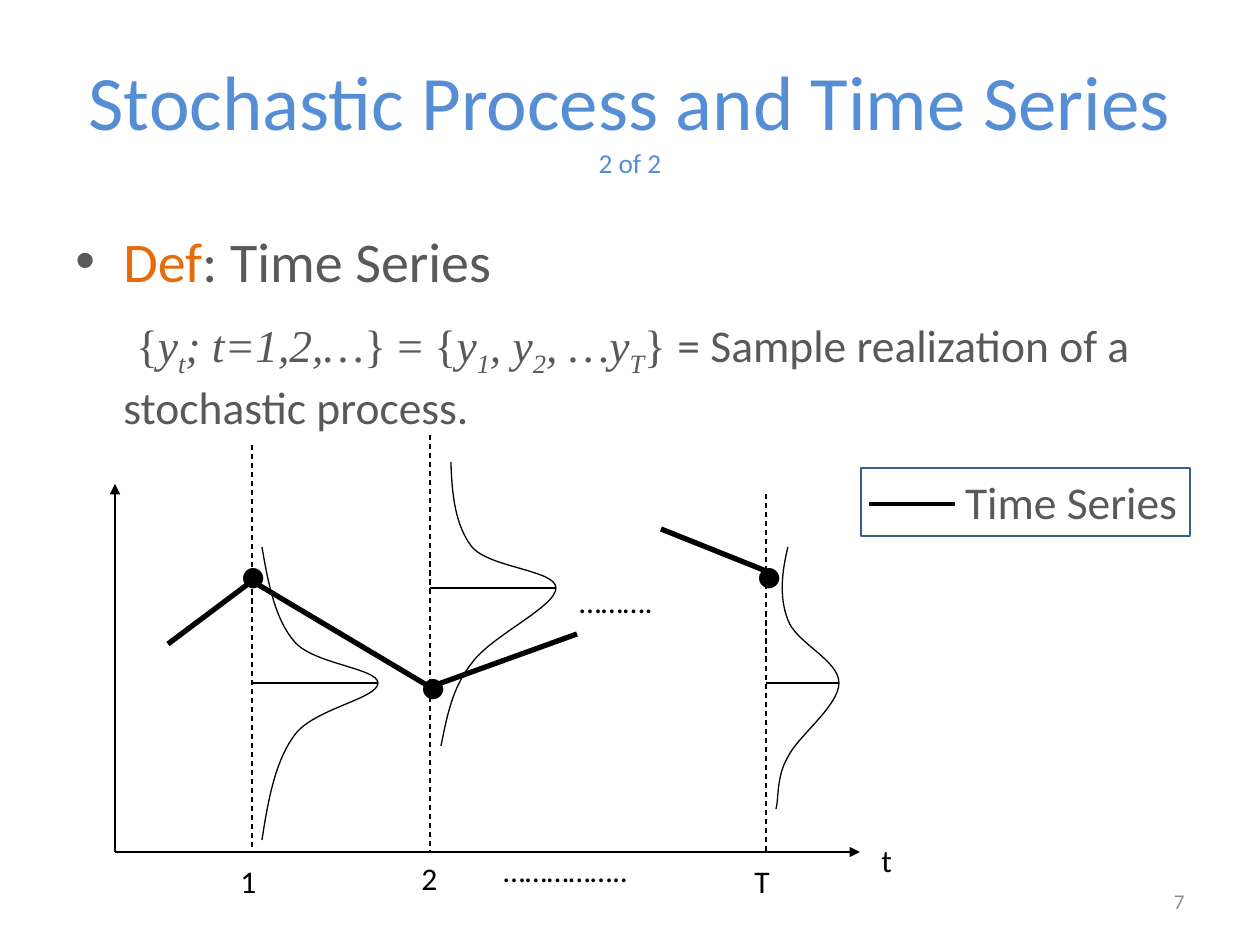
from itertools import chain, pairwise

from lxml.etree import SubElement
from pptx import Presentation
from pptx.dml.color import RGBColor
from pptx.enum.dml import MSO_LINE_DASH_STYLE as Dash
from pptx.enum.shapes import MSO_CONNECTOR as Connector, MSO_SHAPE as Shape
from pptx.enum.text import MSO_ANCHOR as Anchor, MSO_AUTO_SIZE as AutoSize, PP_ALIGN as Align
from pptx.oxml.ns import qn
from pptx.util import Pt

EMU_PER_PX = 914400 / 126
BLUE, ORANGE, GRAY, PALE, BLACK = "558ED5", "E46C0A", "595959", "8C8C8C", "000000"
BORDER = "376092"
SANS, SERIF = "Calibri", "Times New Roman"


def px(length):
    return round(length * EMU_PER_PX)


def color(value):
    return RGBColor.from_string(value)


def set_font(font, size, fill=BLACK, name=SANS):
    font.size, font.name = Pt(size), name
    font.color.rgb = color(fill)


def hang(paragraph, indent=48):
    """Give the paragraph a hanging indent and return its properties."""
    properties = paragraph._p.get_or_add_pPr()
    properties.set("marL", str(px(indent)))
    properties.set("indent", str(px(-indent)))
    return properties


class Canvas:
    def __init__(self, slide):
        self.slide = slide

    def frame(self, box, anchor=Anchor.TOP):
        """Add a wrapping text box and return its text frame."""
        frame = self.slide.shapes.add_textbox(*map(px, box)).text_frame
        frame.word_wrap = True
        frame.vertical_anchor = anchor
        return frame

    def run(self, paragraph, text, size, fill, name=SANS):
        run = paragraph.add_run()
        run.text = text
        set_font(run.font, size, fill, name)
        return run

    def label(self, text, box, size=18):
        frame = self.frame(box)
        frame.word_wrap = False
        frame.auto_size = AutoSize.SHAPE_TO_FIT_TEXT
        paragraph = frame.paragraphs[0]
        paragraph.text = text
        set_font(paragraph.font, size)

    def line(self, start, end, width=0.75, dashed=False, arrow=False):
        connector = self.slide.shapes.add_connector(
            Connector.STRAIGHT, *map(px, (*start, *end)))
        connector.line.color.rgb = color(BLACK)
        connector.line.width = Pt(width)
        if dashed:
            connector.line.dash_style = Dash.DASH
        if arrow:
            SubElement(connector.line._get_or_add_ln(), qn("a:tailEnd"), type="triangle")
        SubElement(connector._element.spPr, qn("a:effectLst"))

    def curve(self, start, segments):
        """Draw a chain of cubic segments, each two controls and an end."""
        builder = self.slide.shapes.build_freeform(*map(px, start))
        points = [(px(x), px(y)) for x, y in chain.from_iterable(segments)]
        builder.add_line_segments(points, close=False)
        shape = builder.convert_to_shape()
        outline = next(shape._element.iter(qn("a:path")))
        steps = outline.findall(qn("a:lnTo"))
        for first in range(0, len(steps), 3):
            cubic = SubElement(outline, qn("a:cubicBezTo"))
            for step in steps[first:first + 3]:
                cubic.append(step[0])
                outline.remove(step)
        shape.shadow.inherit = False
        shape.fill.background()
        shape.line.color.rgb = color(BLACK)
        shape.line.width = Pt(0.75)

    def legend(self, text, box):
        shape = self.slide.shapes.add_shape(Shape.RECTANGLE, *map(px, box))
        shape.shadow.inherit = False
        shape.fill.background()
        shape.line.color.rgb = color(BORDER)
        shape.line.width = Pt(1.5)
        shape.text_frame.vertical_anchor = Anchor.TOP
        paragraph = shape.text_frame.paragraphs[0]
        paragraph.text = text
        paragraph.alignment = Align.RIGHT
        set_font(paragraph.font, 26, GRAY)


def add_text(canvas):
    title = canvas.frame((63, 38, 1134, 157), Anchor.MIDDLE).paragraphs[0]
    title.alignment = Align.CENTER
    canvas.run(title, "Stochastic Process and Time Series ", 44, BLUE)
    canvas.run(title, "2 of 2", 15.6, BLUE)

    body = canvas.frame((63, 220, 1134, 624))
    heading = body.paragraphs[0]
    properties = hang(heading)
    bullet_color = SubElement(properties, qn("a:buClr"))
    SubElement(bullet_color, qn("a:srgbClr"), val=GRAY)
    SubElement(properties, qn("a:buFont"), typeface="Arial")
    SubElement(properties, qn("a:buChar"), char="•")
    canvas.run(heading, "Def", 32, ORANGE)
    canvas.run(heading, ": Time Series", 32, GRAY)

    formula = body.add_paragraph()
    hang(formula)
    formula.space_before = Pt(7.5)
    canvas.run(formula, "\t ", 32, GRAY)
    parts = (("{", ""), ("y", "i"), ("t", "sub"), ("; t=1,2,…", "i"), ("} = {", ""),
             ("y", "i"), ("1", "sub"), (", y", "i"), ("2", "sub"), (", …y", "i"),
             ("T", "sub"), ("} ", ""))
    for text, style in parts:
        font = canvas.run(formula, text, 26, GRAY, SERIF).font
        font.italic = bool(style)
        if style == "sub":
            font._element.set("baseline", "-25000")
    canvas.run(formula, "= Sample realization of a stochastic process.", 26, GRAY)

    number = canvas.frame((903, 876, 294, 50), Anchor.MIDDLE).paragraphs[0]
    number.text = "7"
    number.alignment = Align.RIGHT
    set_font(number.font, 12, PALE)


def add_diagram(canvas):
    origin = (115, 852)
    for end in ((860, 852), (115, 484)):
        canvas.line(origin, end, arrow=True)

    # x of the date, top of its dashed line, mean level, peak of the density
    for x, top, mean, peak in ((252, 445, 683, 378), (430, 435, 588, 556),
                               (766, 494, 683, 839)):
        canvas.line((x, top), (x, 852), dashed=True)
        canvas.line((x, mean), (peak, mean))

    densities = (
        ((262, 547), (((268, 582), (275, 619), (294, 641)),
                      ((312, 664), (378, 668), (378, 683)),
                      ((378, 699), (312, 709), (294, 736)),
                      ((275, 762), (268, 801), (262, 840)))),
        ((451, 462), (((452, 494), (455, 525), (472, 547)),
                      ((490, 568), (556, 570), (556, 588)),
                      ((556, 607), (491, 636), (472, 663)),
                      ((452, 688), (447, 717), (441, 746)))),
        ((788, 547), (((782, 572), (779, 597), (788, 620)),
                      ((796, 643), (839, 660), (839, 683)),
                      ((839, 706), (798, 736), (788, 757)),
                      ((776, 777), (779, 800), (776, 809)))),
    )
    for start, segments in densities:
        canvas.curve(start, segments)

    for text, box in (("1", (228, 856, 43, 50)), ("2", (409, 853, 43, 50)),
                      ("t", (869, 835, 34, 50)), ("T", (742, 856, 44, 50)),
                      ("……………..", (491, 845, 200, 50)), ("……….", (567, 576, 139, 50))):
        canvas.label(text, box)
    for left, top in ((220, 413), (400, 524), (736, 413)):
        canvas.label(".", (left, top, 72, 214), size=96)

    for path in (((168, 644), (252, 581), (430, 687), (577, 634)),
                 ((661, 529), (766, 571))):
        for start, end in pairwise(path):
            canvas.line(start, end, width=3)

    canvas.legend("Time Series", (861, 468, 329, 68))
    canvas.line((869, 504), (955, 504), width=2.75)


def main():
    presentation = Presentation()
    presentation.slide_width, presentation.slide_height = px(1260), px(945)
    canvas = Canvas(presentation.slides.add_slide(presentation.slide_layouts[6]))
    add_text(canvas)
    add_diagram(canvas)
    presentation.save("out.pptx")


if __name__ == "__main__":
    main()
